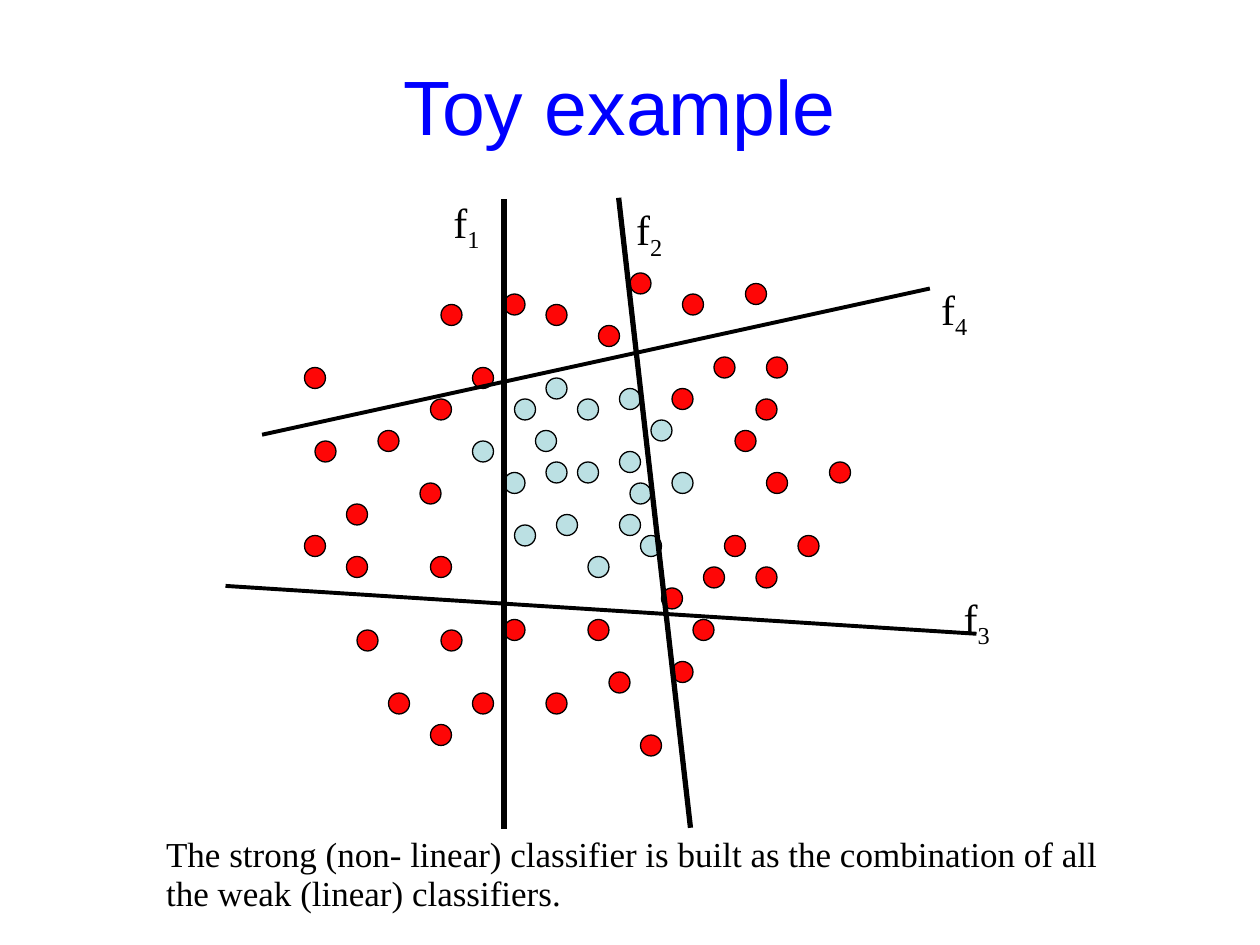
from pptx import Presentation
from pptx.dml.color import RGBColor
from pptx.enum import shapes, text
from pptx.oxml.ns import qn
from pptx.util import Inches, Pt

theme = {
    "title": RGBColor(0x00, 0x00, 0xFF), "ink": RGBColor(0, 0, 0),
    "inner": RGBColor(0xBB, 0xE0, 0xE3), "outer": RGBColor(0xFE, 0x06, 0x06),
    "title_font": "Arial", "body_font": "Times New Roman",
    "title_size": 44, "label_size": 24, "caption_size": 20,
    "line_spacing": 0.93,
}
CELL = Inches(1) / 12  # the scatter sits on a grid of twelve cells to the inch


def style(para, font, size, color):
    para.line_spacing = theme["line_spacing"]
    for span in para.runs:
        span.font.name = font
        span.font.size = Pt(size)
        span.font.color.rgb = color


def add_text(left, top, width, height, wrap):
    box = page.shapes.add_textbox(Inches(left), Inches(top), Inches(width), Inches(height))
    box.text_frame.word_wrap = wrap
    box.text_frame.auto_size = text.MSO_AUTO_SIZE.SHAPE_TO_FIT_TEXT
    return box.text_frame.paragraphs[0]


deck = Presentation()
deck.slide_width, deck.slide_height = Inches(10), Inches(7.5)
page = deck.slides.add_slide(deck.slide_layouts[5])

# Title
title = page.shapes.title
title.left, title.top, title.width, title.height = map(Inches, (0.42, 0.25, 9, 1.25))
title.text_frame.text = "Toy example"
title.text_frame.vertical_anchor = text.MSO_ANCHOR.MIDDLE
title.text_frame.paragraphs[0].alignment = text.PP_ALIGN.CENTER
style(title.text_frame.paragraphs[0], theme["title_font"], theme["title_size"], theme["title"])

# Two classes of points: (column, row) of each dot's top left corner
points = {
    "inner": [
        (55, 38), (59, 37), (62, 40), (52, 44), (59, 49), (64, 45), (49, 50), (55, 44), (59, 43),
        (60, 46), (53, 49), (48, 45), (49, 38), (56, 53), (51, 41), (61, 51), (45, 42), (52, 36),
    ],
    "outer": [
        (73, 45), (72, 38), (69, 51), (72, 54), (79, 44), (76, 51), (30, 42), (29, 35), (29, 51),
        (36, 41), (33, 48), (42, 60), (41, 53), (41, 69), (48, 59), (45, 66), (58, 64), (56, 59),
        (52, 66), (64, 63), (61, 70), (42, 29), (52, 29), (41, 38), (48, 28), (45, 35), (65, 28),
        (57, 31), (64, 37), (71, 27), (68, 34), (34, 60), (33, 53), (40, 46), (37, 66), (60, 26),
        (73, 34), (70, 41), (63, 56), (66, 59), (67, 54),
    ],
}
for group, cells in points.items():
    for column, row in cells:
        dot = page.shapes.add_shape(
            shapes.MSO_SHAPE.OVAL, int(column * CELL), int(row * CELL), int(2 * CELL), int(2 * CELL))
        dot.shadow.inherit = False
        dot.fill.solid()
        dot.fill.fore_color.rgb = theme[group]
        dot.line.color.rgb = theme["ink"]
        dot.line.width = Pt(0.75)

# Weak classifiers: ends and weight of each line
classifiers = [
    (4, 1.58, 4, 6.58, 3),
    (4.91, 1.57, 5.48, 6.57, 3),
    (2.08, 3.45, 7.38, 2.29, 2.25),
    (1.79, 4.65, 7.75, 5.03, 2.25),
]
for *ends, weight in classifiers:
    line = page.shapes.add_connector(shapes.MSO_CONNECTOR.STRAIGHT, *map(Inches, ends))
    line.line.color.rgb = theme["ink"]
    line.line.width = Pt(weight)
    properties = line._element.spPr
    properties.append(properties.makeelement(qn("a:effectLst"), {}))

# Caption
caption = add_text(1.22, 6.59, 7.9, 0.72, True)
caption.text = ("The strong (non- linear) classifier is built as the combination of all "
                "the weak (linear) classifiers.")
style(caption, theme["body_font"], theme["caption_size"], theme["ink"])

# Classifier labels with subscript numbers
labels = {"1": (3.5, 1.51), "2": (4.95, 1.57), "3": (7.55, 4.65), "4": (7.37, 2.2)}
for number, (left, top) in labels.items():
    label = add_text(left, top, 0.41, 0.53, False)
    label.add_run().text = "f"
    subscript = label.add_run()
    subscript.text = number
    style(label, theme["body_font"], theme["label_size"], theme["ink"])
    subscript.font._element.set("baseline", "-25000")

deck.save("out.pptx")
